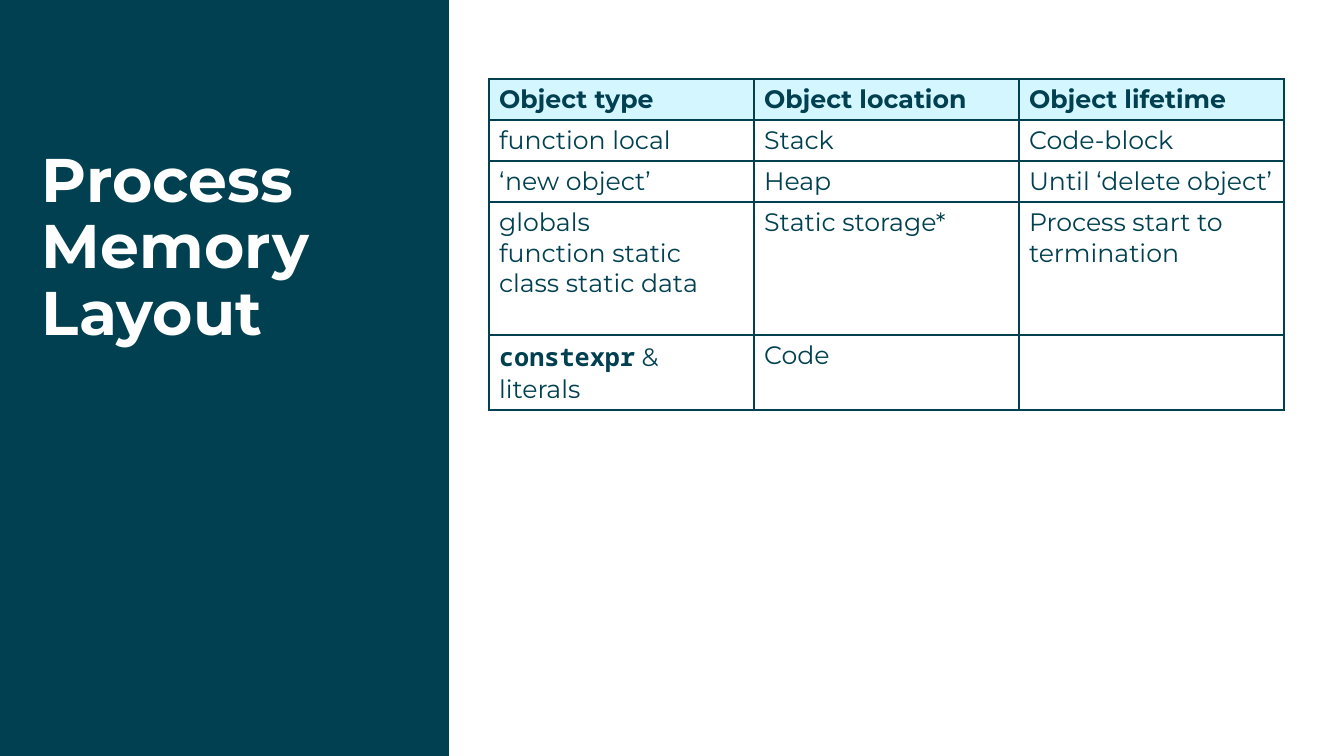
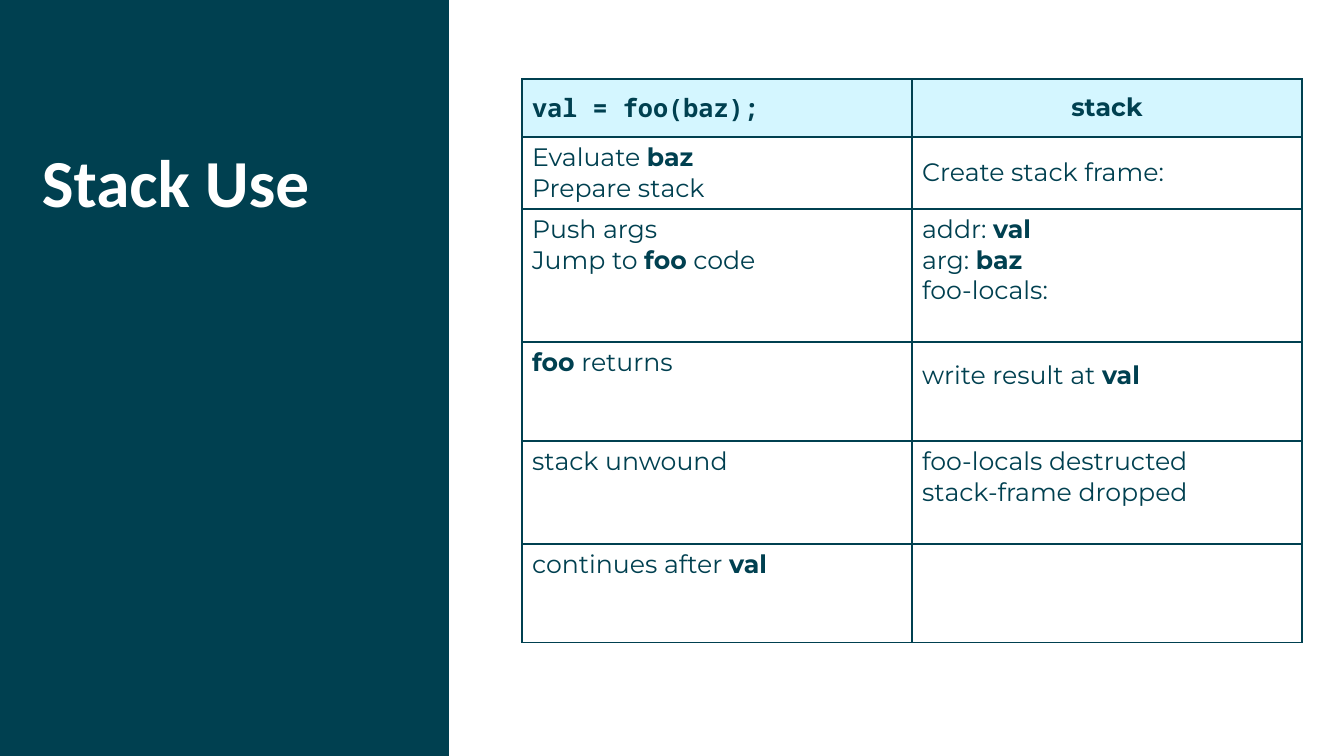
from lxml.etree import SubElement
from pptx import Presentation
from pptx.dml.color import RGBColor
from pptx.enum.shapes import MSO_SHAPE
from pptx.enum.text import MSO_ANCHOR, PP_ALIGN
from pptx.oxml import parse_xml
from pptx.oxml.ns import nsdecls
from pptx.util import Emu, Pt

SLIDE_WIDTH, SLIDE_HEIGHT = 1344, 756
TEAL, ICE, WHITE = "004050", "D4F6FF", "FFFFFF"
SANS, MONO = "Montserrat", "Noto Sans Mono"
BAND_BOX = (0, 0, 449, SLIDE_HEIGHT)
TITLE_INSET = (42, 149)
TITLE_SIZE = (380, 303)
BODY = {"size": Pt(18), "name": SANS, "bold": False}
BOLD = {**BODY, "bold": True}
CODE = {**BOLD, "name": MONO}
MIDDLE = {"vertical_anchor": MSO_ANCHOR.MIDDLE}


def px(length):
    return Emu(round(length * 914400 / 100.8))


def color(value):
    return RGBColor.from_string(value)


def set_values(target, values):
    for name, value in values.items():
        setattr(target, name, value)


def add_span(para, text, font, fill):
    span = para.add_run()
    span.text = text
    set_values(span.font, font)
    span.font.color.rgb = color(fill)


def write_line(para, line, font):
    """Write a line; parts between bars are bold, and those between backticks are code."""
    for i, part in enumerate(line.split("|")):
        for j, text in enumerate(part.split("`")):
            if text:
                add_span(para, text, CODE if j % 2 else BOLD if i % 2 else font, TEAL)


def write_cell(cell, text, font):
    frame = cell.text_frame
    for i, line in enumerate(text.split("\n")):
        para = frame.add_paragraph() if i else frame.paragraphs[0]
        write_line(para, line, font)


def outline_cell(cell):
    """Draw a 1 pt line on all four sides; lines must precede the fill in the XML."""
    properties = cell._tc.get_or_add_tcPr()
    for i, side in enumerate(("lnL", "lnR", "lnT", "lnB")):
        line = parse_xml(f'<a:{side} {nsdecls("a")} w="{Pt(1)}"><a:solidFill/></a:{side}>')
        SubElement(line[0], line[0].tag.replace("solidFill", "srgbClr"), val=TEAL)
        properties.insert(i, line)


def add_title_band(slide, box, title, font):
    left, top, width, height = box
    band = slide.shapes.add_shape(MSO_SHAPE.RECTANGLE, *map(px, box))
    band.shadow.inherit = False
    band.fill.solid()
    band.fill.fore_color.rgb = color(TEAL)
    band.line.fill.background()

    place = (left + TITLE_INSET[0], top + TITLE_INSET[1], *TITLE_SIZE)
    frame = slide.shapes.add_textbox(*map(px, place)).text_frame
    set_values(frame, {"word_wrap": True, "margin_left": 0, "margin_right": 0,
                       "margin_top": 0, "margin_bottom": 0})
    para = frame.paragraphs[0]
    para.line_spacing = 0.9
    add_span(para, title, {"bold": True, **font}, WHITE)


def add_grid(slide, box, row_heights, rows):
    """Place a table with equal columns and a tinted heading row."""
    left, top, width = box
    size = (left, top, width, sum(row_heights))
    table = slide.shapes.add_table(len(rows), len(rows[0]), *map(px, size)).table
    set_values(table, {"first_row": False, "horz_banding": False})
    for column in table.columns:
        column.width = px(width / len(rows[0]))
    for i, (height, texts) in enumerate(zip(row_heights, rows)):
        table.rows[i].height = px(height)
        for j, text in enumerate(texts):
            cell = table.cell(i, j)
            write_cell(cell, text, BODY if i else BOLD)
            if i:
                cell.fill.background()
            else:
                cell.fill.solid()
                cell.fill.fore_color.rgb = color(ICE)
            outline_cell(cell)
    return table


def add_memory_slide(slide):
    add_title_band(slide, BAND_BOX, "Process Memory Layout", {"size": Pt(44), "name": SANS})
    add_grid(slide, (489, 79, 795), (41, 41, 41, 133, 75), [
        ("Object type", "Object location", "Object lifetime"),
        ("function local", "Stack", "Code-block"),
        ("‘new object’", "Heap", "Until ‘delete object’"),
        ("globals\nfunction static\nclass static data", "Static storage*",
         "Process start to termination"),
        ("`constexpr` & literals", "Code", ""),
    ])


def add_stack_slide(slide):
    add_title_band(slide, BAND_BOX, "Stack Use", {"size": Pt(48), "name": "Calibri"})
    table = add_grid(slide, (522, 79, 780), (58, 72, 133, 99, 103, 99), [
        ("`val = foo(baz);`", "stack"),
        ("Evaluate |baz|\nPrepare stack", "Create stack frame:"),
        ("Push args\nJump to |foo| code", "addr: |val|\narg: |baz|\nfoo-locals:"),
        ("|foo| returns", "write result at |val|"),
        ("stack unwound", "foo-locals destructed\nstack-frame dropped"),
        ("continues after |val|", ""),
    ])
    for row, column in ((0, 0), (0, 1), (1, 1), (3, 1)):
        set_values(table.cell(row, column), MIDDLE)
    table.cell(3, 1).margin_bottom = px(36)
    table.cell(0, 1).text_frame.paragraphs[0].alignment = PP_ALIGN.CENTER


def main():
    deck = Presentation()
    set_values(deck, {"slide_width": px(SLIDE_WIDTH), "slide_height": px(SLIDE_HEIGHT)})
    for add_content in (add_memory_slide, add_stack_slide):
        add_content(deck.slides.add_slide(deck.slide_layouts[6]))
    deck.save("out.pptx")


if __name__ == "__main__":
    main()
